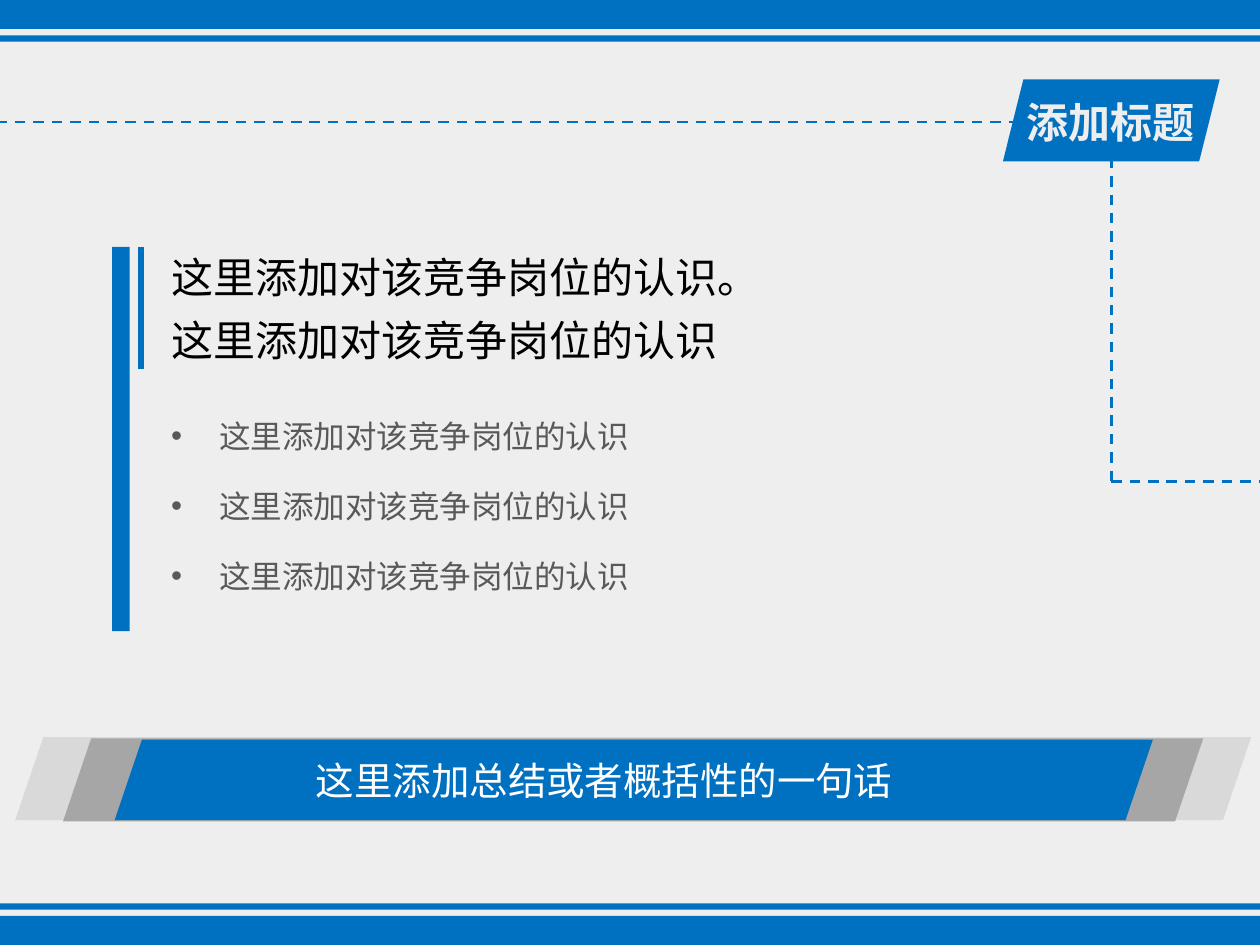
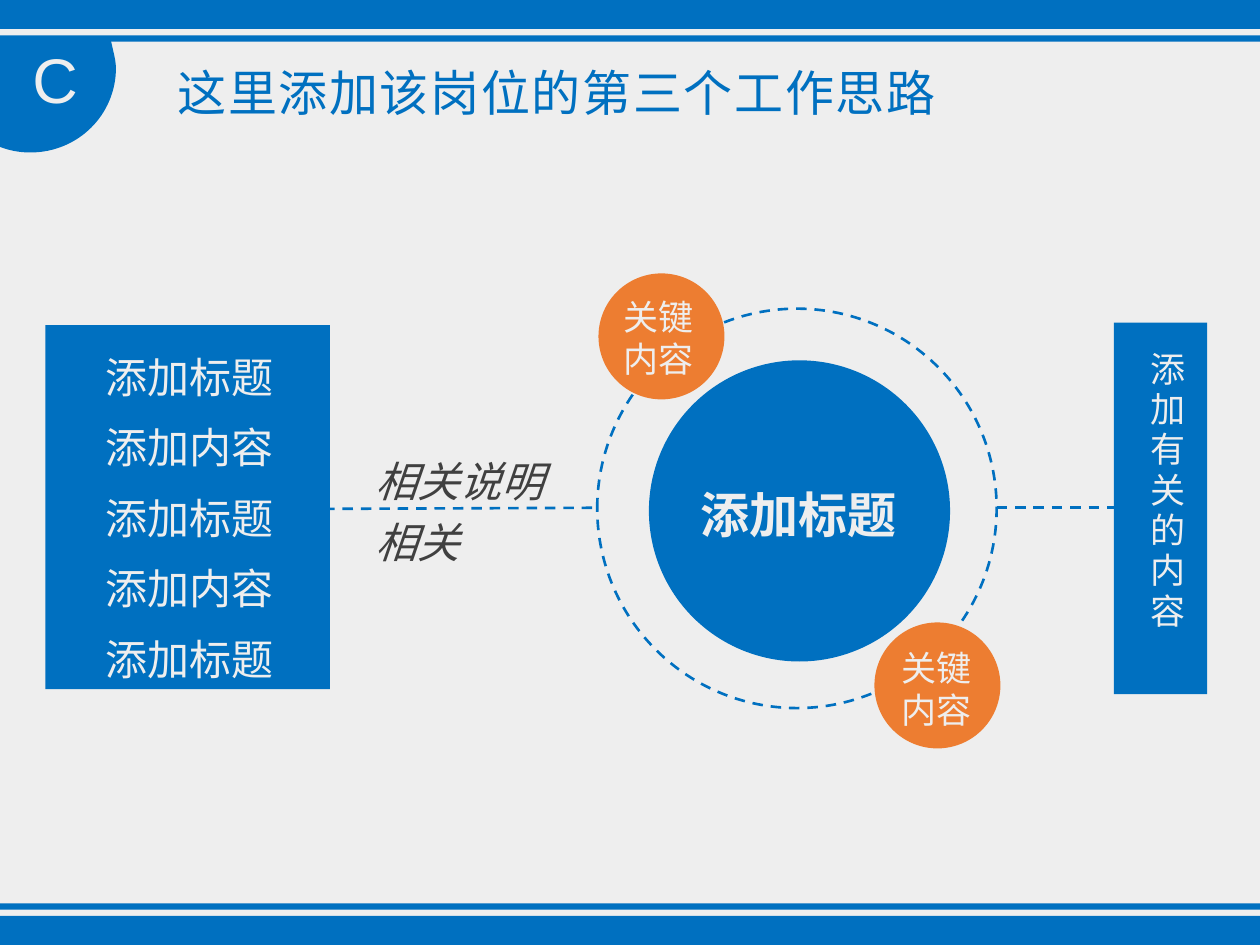
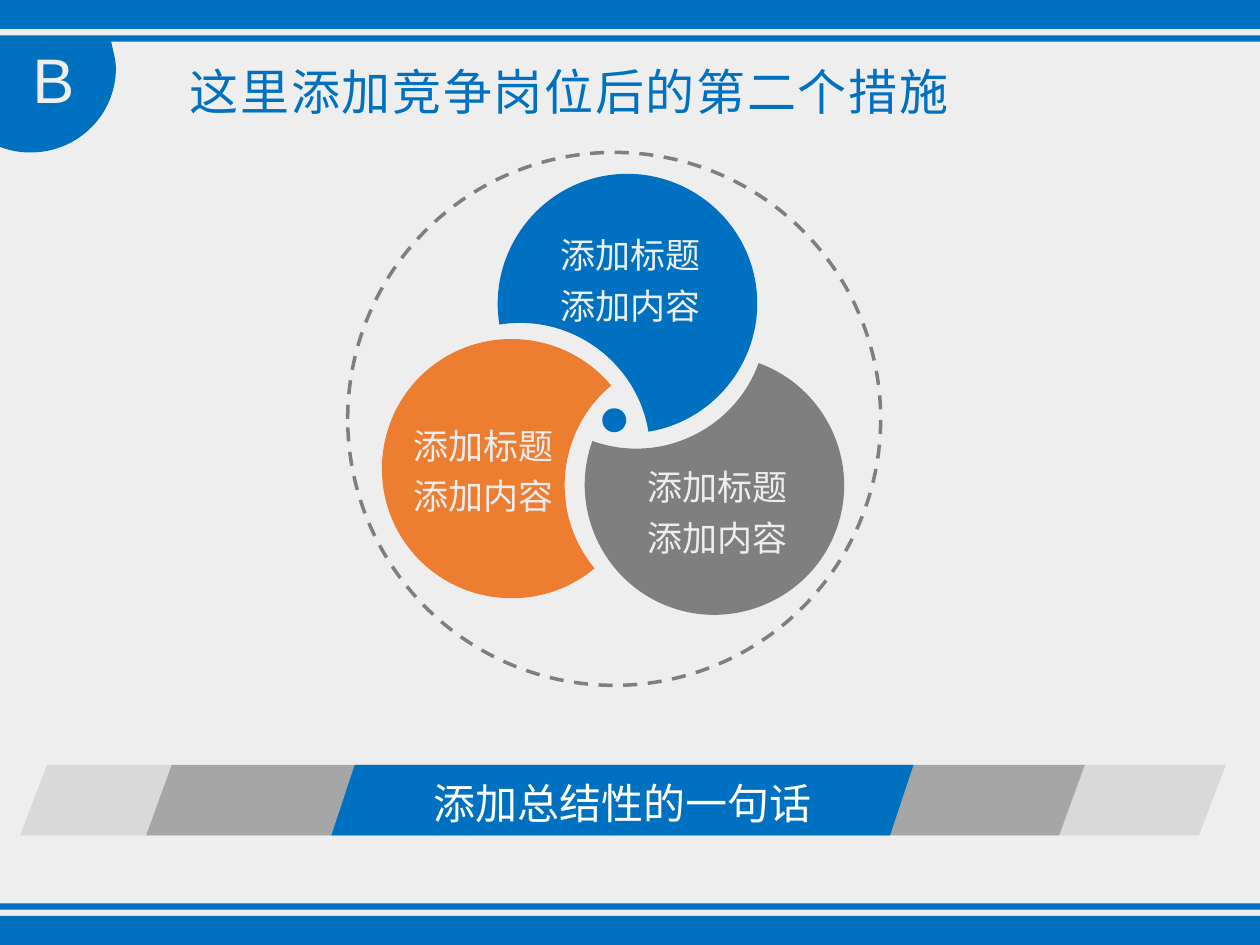
from dataclasses import dataclass
from typing import Optional

from lxml.etree import SubElement
from pptx import Presentation
from pptx.dml.color import RGBColor
from pptx.enum.dml import MSO_LINE
from pptx.enum.shapes import MSO_CONNECTOR, MSO_SHAPE
from pptx.enum.text import MSO_AUTO_SIZE, PP_ALIGN
from pptx.oxml.ns import qn
from pptx.shapes.autoshape import Shape
from pptx.slide import Slide
from pptx.util import Inches, Pt

COLORS = {
    "blue": "0070C0",
    "orange": "ED7D31",
    "gray": "7F7F7F",
    "silver": "A6A6A6",
    "pale": "D9D9D9",
    "paper": "EEEEEE",
    "white": "FFFFFF",
    "black": "000000",
    "body": "595959",
    "note": "404040",
}
CJK = "Noto Sans CJK SC"
LATIN = "Calibri"
BANDS = ((7.27, 0.23), (7.17, 0.05), (0, 0.23), (0.28, 0.05))
BADGE_START = (-0.39, 0.32)
BADGE_CURVES = [
    [(0.88, 0.32)],
    [(0.9, 0.41)],
    [(0.91, 0.45), (0.92, 0.5), (0.92, 0.54)],
    [(0.92, 0.91), (0.62, 1.21), (0.24, 1.21)],
    [(-0.13, 1.21), (-0.43, 0.91), (-0.43, 0.54)],
    [(-0.43, 0.5), (-0.42, 0.45), (-0.41, 0.41)],
]
BEND = 0.55
PETAL_START = (0, -1)
PETAL_CURVES = [
    [(-BEND, -1), (-1, -BEND), (-1, 0)],
    [(BEND - 1, 0), (0, 1 - BEND), (0, 1)],
    [(BEND, 1), (1, BEND), (1, 0)],
    [(1, -BEND), (BEND, -1), (0, -1)],
]
PETAL_RADIUS = 1.03


@dataclass(frozen=True)
class Area:
    left: float
    top: float
    width: float
    height: float

    def lengths(self) -> tuple:
        return tuple(Inches(v) for v in (self.left, self.top, self.width, self.height))


@dataclass(frozen=True)
class Style:
    size: float
    color: str = "paper"
    font: str = LATIN
    bold: bool = False
    italic: bool = False
    tracking: float = 0
    align: Optional[PP_ALIGN] = None
    leading: Optional[float] = None
    after: Optional[float] = None
    bullet: bool = False
    wrap: bool = False
    vertical: bool = False


@dataclass(frozen=True)
class Stripe:
    area: Area
    color: str
    slant: float


@dataclass(frozen=True)
class Petal:
    x: float
    y: float
    rotation: float
    color: str
    label: Area
    side: int = 1


TITLE = Style(28, "blue", CJK, tracking=1, align=PP_ALIGN.JUSTIFY, wrap=True)
RAISED_TITLE = Style(28, "blue", CJK, tracking=1, align=PP_ALIGN.JUSTIFY, leading=1.25, wrap=True)
LETTER = Style(36, font="Arial")
TAG = Style(24, bold=True)
LEAD = Style(24, "black", CJK, align=PP_ALIGN.JUSTIFY, leading=1.25, wrap=True)
BULLETS = Style(18, "body", CJK, align=PP_ALIGN.JUSTIFY, leading=1.3, after=12, bullet=True, wrap=True)
LIST = Style(24, align=PP_ALIGN.CENTER, leading=1.4)
COLUMN = Style(20, tracking=3, align=PP_ALIGN.CENTER, leading=1.4, wrap=True, vertical=True)
CORE = Style(28, bold=True)
KEY = Style(20)
NOTE = Style(24, "note", italic=True, leading=1.2)
PETAL_LABEL = Style(20, leading=1.2, wrap=True)


def rgb(name: str) -> RGBColor:
    return RGBColor.from_string(COLORS[name])


def paint(shape: Shape, color: str) -> None:
    shape.shadow.inherit = False
    shape.fill.solid()
    shape.fill.fore_color.rgb = rgb(color)
    shape.line.fill.background()


def add_solid(page: Slide, kind: MSO_SHAPE, area: Area, color: str) -> Shape:
    shape = page.shapes.add_shape(kind, *area.lengths())
    paint(shape, color)
    return shape


def add_ring(page: Slide, area: Area, color: str, weight: float) -> None:
    ring = page.shapes.add_shape(MSO_SHAPE.OVAL, *area.lengths())
    ring.shadow.inherit = False
    ring.fill.background()
    ring.line.color.rgb = rgb(color)
    ring.line.width = Pt(weight)
    ring.line.dash_style = MSO_LINE.DASH


def add_line(page: Slide, start: tuple, end: tuple, weight: float = 1.5, dashed: bool = True) -> None:
    ends = [Inches(v) for v in (*start, *end)]
    connector = page.shapes.add_connector(MSO_CONNECTOR.STRAIGHT, *ends)
    connector.line.color.rgb = rgb("blue")
    connector.line.width = Pt(weight)
    if dashed:
        connector.line.dash_style = MSO_LINE.DASH
    SubElement(connector.element.spPr, qn("a:effectLst"))


def add_text(page: Slide, area: Area, lines: list[str], style: Style) -> None:
    box = page.shapes.add_textbox(*area.lengths())
    frame = box.text_frame
    frame.word_wrap = style.wrap
    frame.auto_size = MSO_AUTO_SIZE.SHAPE_TO_FIT_TEXT
    if style.vertical:
        frame._txBody.bodyPr.set("vert", "eaVert")
    for index, line in enumerate(lines):
        para = frame.add_paragraph() if index else frame.paragraphs[0]
        if style.bullet:
            props = para._p.get_or_add_pPr()
            props.set("marL", str(Inches(0.38)))
            props.set("indent", str(Inches(-0.38)))
            SubElement(props, qn("a:buFont")).set("typeface", "Arial")
            SubElement(props, qn("a:buChar")).set("char", "•")
        para.alignment = style.align
        para.line_spacing = style.leading
        if style.after is not None:
            para.space_after = Pt(style.after)
        span = para.add_run()
        span.text = line
        font = span.font
        font.size = Pt(style.size)
        font.bold = style.bold
        font.italic = style.italic
        font.color.rgb = rgb(style.color)
        font.name = style.font
        props = span._r.get_or_add_rPr()
        SubElement(props, qn("a:ea")).set("typeface", CJK)
        if style.tracking:
            props.set("spc", str(int(style.tracking * 100)))


def add_outline(page: Slide, start: tuple, curves: list[list[tuple]], color: str) -> Shape:
    anchors = [start] + [curve[-1] for curve in curves]
    corners = [(Inches(x), Inches(y)) for x, y in anchors]
    builder = page.shapes.build_freeform(*corners[0])
    builder.add_line_segments(corners[1:], close=True)
    shape = builder.convert_to_shape()
    paint(shape, color)
    left = min(x for x, _ in corners)
    top = min(y for _, y in corners)
    segments = list(shape.element.spPr.iter(qn("a:lnTo")))
    for segment, curve in zip(segments, curves):
        if len(curve) == 3:
            bezier = SubElement(segment.getparent(), qn("a:cubicBezTo"))
            for x, y in curve:
                point = SubElement(bezier, qn("a:pt"))
                point.set("x", str(Inches(x) - left))
                point.set("y", str(Inches(y) - top))
            segment.getparent().replace(segment, bezier)
    return shape


def add_petal(page: Slide, petal: Petal) -> None:
    reach = PETAL_RADIUS * petal.side

    def place(point: tuple) -> tuple:
        return petal.x + reach * point[0], petal.y + reach * point[1]

    curves = [[place(point) for point in curve] for curve in PETAL_CURVES]
    shape = add_outline(page, place(PETAL_START), curves, petal.color)
    shape.rotation = petal.rotation


def add_stripes(page: Slide, stripes: list[Stripe]) -> None:
    for stripe in stripes:
        shape = add_solid(page, MSO_SHAPE.PARALLELOGRAM, stripe.area, stripe.color)
        shape.adjustments[0] = stripe.slant


def add_badge(page: Slide, letter: str) -> None:
    add_outline(page, BADGE_START, BADGE_CURVES, "blue")
    add_text(page, Area(0.16, 0.27, 0.56, 0.71), [letter], LETTER)


def add_page(deck: Presentation) -> Slide:
    return deck.slides.add_slide(deck.slide_layouts[6])


def dress_master(deck: Presentation, page: Slide) -> None:
    master = deck.slide_master
    backdrop = master.background.fill
    backdrop.solid()
    backdrop.fore_color.rgb = rgb("paper")
    for top, height in BANDS:
        band = add_solid(page, MSO_SHAPE.RECTANGLE, Area(0, top, 10, height), "blue")
        band.element.nvSpPr.cNvPr.set("id", str(len(master.shapes) + 20))
        master.shapes._spTree.append(band.element)


def build_understanding(page: Slide) -> None:
    add_stripes(page, [
        Stripe(Area(0.12, 5.85, 9.81, 0.66), "pale", 0.339),
        Stripe(Area(0.5, 5.86, 9.05, 0.66), "silver", 0.339),
        Stripe(Area(0.91, 5.87, 8.24, 0.64), "blue", 0.339),
    ])
    add_text(page, Area(2.41, 5.96, 4.83, 0.47), ["这里添加总结或者概括性的一句话"],
             Style(22, "white", CJK))
    add_line(page, (8.82, 3.82), (10.01, 3.82))
    add_line(page, (8.82, 0.96), (8.82, 3.82))
    add_line(page, (8.82, 0.97), (0, 0.97))
    point = "这里添加对该竞争岗位的认识"
    add_text(page, Area(1.26, 3.17, 7.12, 1.62), [point] * 3, BULLETS)
    add_text(page, Area(1.26, 1.85, 7.06, 1.49), [point + "。", point], LEAD)
    add_solid(page, MSO_SHAPE.RECTANGLE, Area(0.89, 1.96, 0.14, 3.05), "blue")
    add_line(page, (1.12, 1.96), (1.12, 2.93), weight=3, dashed=False)
    add_solid(page, MSO_SHAPE.PARALLELOGRAM, Area(7.96, 0.63, 1.72, 0.65), "blue")
    add_text(page, Area(8.05, 0.72, 1.55, 0.5), ["添加标题"], TAG)


def build_approach(page: Slide) -> None:
    add_text(page, Area(1.31, 0.45, 8.53, 0.57), ["这里添加该岗位的第三个工作思路"], TITLE)
    add_badge(page, "C")
    add_solid(page, MSO_SHAPE.RECTANGLE, Area(0.36, 2.58, 2.26, 2.89), "blue")
    add_text(page, Area(0.73, 2.58, 1.55, 2.93),
             ["添加标题", "添加内容", "添加标题", "添加内容", "添加标题"], LIST)
    add_solid(page, MSO_SHAPE.RECTANGLE, Area(8.84, 2.56, 0.74, 2.95), "blue")
    add_text(page, Area(8.94, 2.69, 0.67, 2.66), ["添加有关的内容"], COLUMN)
    add_ring(page, Area(4.74, 2.45, 3.17, 3.17), "blue", 1.5)
    add_solid(page, MSO_SHAPE.OVAL, Area(5.15, 2.86, 2.39, 2.39), "blue")
    add_text(page, Area(5.46, 3.8, 1.77, 0.57), ["添加标题"], CORE)
    key_circles = [
        (Area(4.75, 2.17, 1, 1), Area(4.85, 2.3, 0.76, 0.77)),
        (Area(6.94, 4.94, 1, 1), Area(7.06, 5.08, 0.76, 0.77)),
    ]
    for circle, label in key_circles:
        add_solid(page, MSO_SHAPE.OVAL, circle, "orange")
        add_text(page, label, ["关键", "内容"], KEY)
    add_line(page, (7.91, 4.03), (9.1, 4.03))
    add_line(page, (2.28, 4.04), (4.74, 4.03))
    add_text(page, Area(2.88, 3.49, 1.55, 1.07), ["相关说明", "相关"], NOTE)


def build_measures(page: Slide) -> None:
    add_text(page, Area(1.41, 0.32, 7.73, 0.66), ["这里添加竞争岗位后的第二个措施"], RAISED_TITLE)
    add_badge(page, "B")
    add_solid(page, MSO_SHAPE.OVAL, Area(4.78, 3.24, 0.19, 0.19), "blue")
    add_ring(page, Area(2.76, 1.21, 4.23, 4.23), "gray", 2)
    petals = [
        Petal(5.67, 3.85, 109.9, "gray", Area(5.04, 3.58, 1.52, 0.88)),
        Petal(4.98, 2.41, 350.7, "blue", Area(4.35, 1.74, 1.52, 0.91)),
        Petal(4.06, 3.72, 50.2, "orange", Area(3.18, 3.25, 1.52, 0.88), side=-1),
    ]
    for petal in petals:
        add_petal(page, petal)
    for petal in sorted(petals, key=lambda item: item.label.top):
        add_text(page, petal.label, ["添加标题", "添加内容"], PETAL_LABEL)
    add_stripes(page, [
        Stripe(Area(0.16, 6.07, 9.57, 0.56), "pale", 0.382),
        Stripe(Area(1.16, 6.07, 7.45, 0.56), "silver", 0.364),
        Stripe(Area(2.63, 6.07, 4.62, 0.56), "blue", 0.332),
    ])
    add_text(page, Area(3.34, 6.12, 3.23, 0.5), ["添加总结性的一句话"],
             Style(24, "white", CJK))


def main() -> None:
    deck = Presentation()
    deck.slide_width = Inches(10)
    deck.slide_height = Inches(7.5)
    pages = [add_page(deck) for _ in range(3)]
    dress_master(deck, pages[0])
    build_understanding(pages[0])
    build_approach(pages[1])
    build_measures(pages[2])
    deck.save("out.pptx")


if __name__ == "__main__":
    main()
